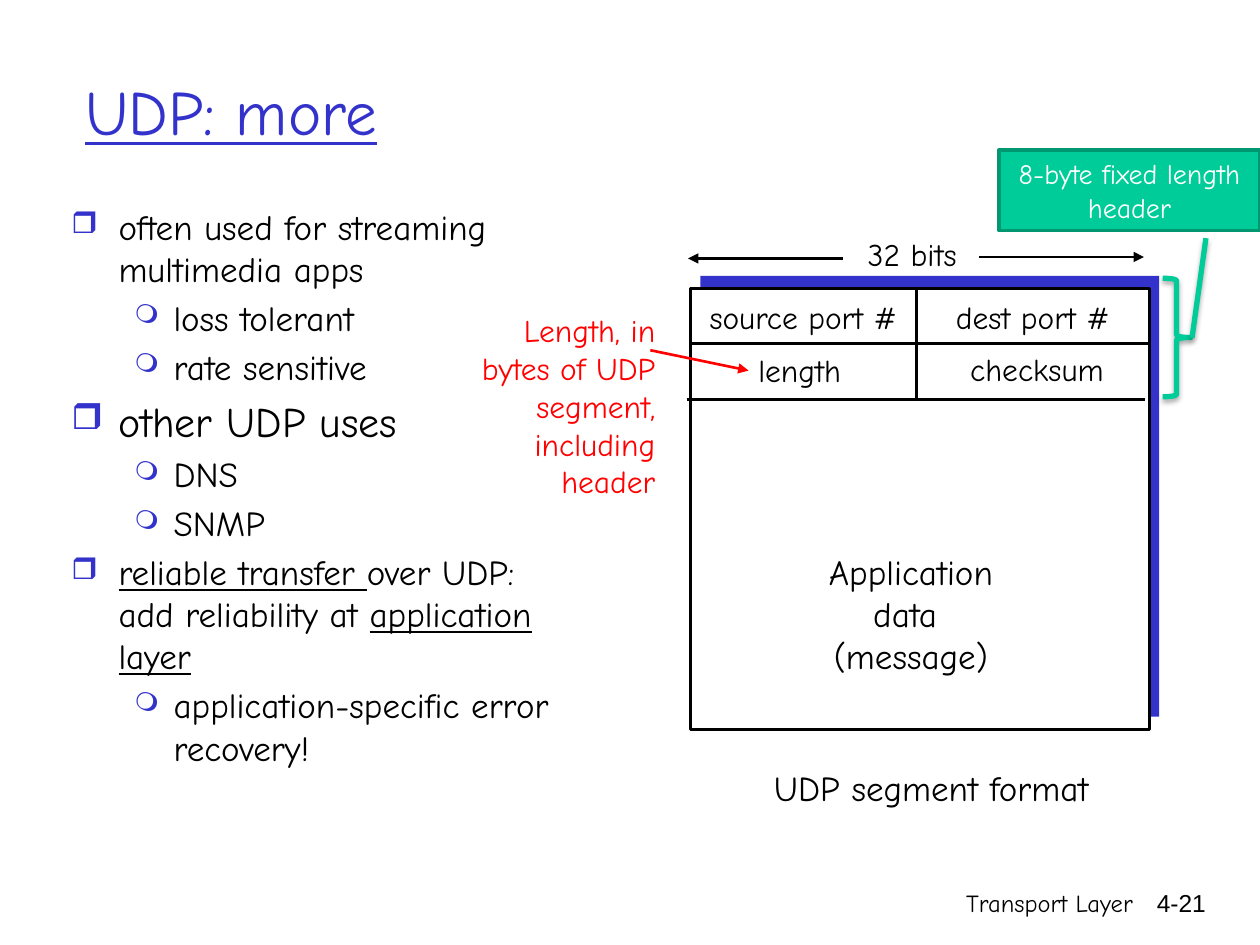
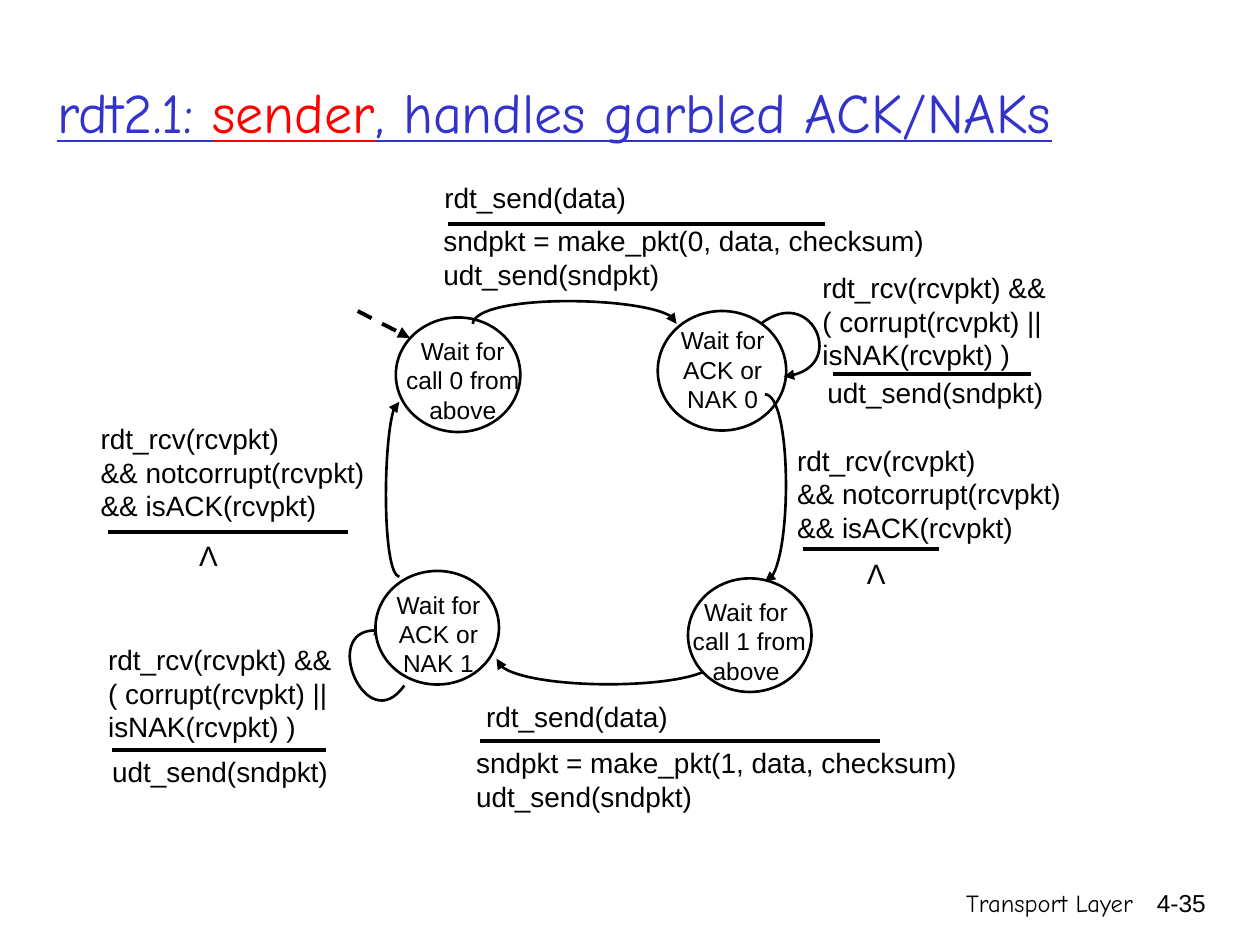
from dataclasses import dataclass

from lxml.etree import SubElement
from pptx import Presentation
from pptx.dml.color import RGBColor
from pptx.enum.dml import MSO_LINE
from pptx.enum.shapes import MSO_CONNECTOR, MSO_SHAPE
from pptx.enum.text import MSO_ANCHOR, PP_ALIGN
from pptx.oxml.ns import qn
from pptx.util import Cm, Pt

BLACK = RGBColor(0x00, 0x00, 0x00)
WHITE = RGBColor(0xFF, 0xFF, 0xFF)
BLUE = RGBColor(0x33, 0x33, 0xCC)
RED = RGBColor(0xFF, 0x00, 0x00)
GREEN = RGBColor(0x00, 0xCC, 0x99)
DARK_GREEN = RGBColor(0x00, 0x97, 0x71)

COMIC = "Comic Neue"
ARIAL = "Arial"
LEFT, CENTER, RIGHT = PP_ALIGN.LEFT, PP_ALIGN.CENTER, PP_ALIGN.RIGHT


@dataclass(frozen=True)
class Box:
    """A frame in centimetres."""
    left: float
    top: float
    width: float
    height: float

    def lengths(self) -> tuple:
        return Cm(self.left), Cm(self.top), Cm(self.width), Cm(self.height)


@dataclass(frozen=True)
class Run:
    text: str
    color: RGBColor = BLACK
    underline: bool = False


@dataclass(frozen=True)
class Label:
    box: Box
    lines: tuple[str, ...]
    size: int = 16
    font: str = ARIAL
    color: RGBColor = BLACK
    align: PP_ALIGN = LEFT
    wrap: bool = True


@dataclass(frozen=True)
class Rule:
    x1: float
    y1: float
    x2: float
    y2: float
    color: RGBColor = BLACK
    width: float = 1.5
    arrow: bool = False
    dashed: bool = False


@dataclass(frozen=True)
class BulletItem:
    level: int
    runs: tuple[Run, ...]
    size: int = 20


@dataclass(frozen=True)
class BulletStyle:
    symbol: str
    percent: int
    margin: float
    hanging: float


@dataclass(frozen=True)
class State:
    circle: Box
    label_box: Box
    lines: tuple[str, ...]


@dataclass(frozen=True)
class Transition:
    """An event above a rule, with the action below it."""
    event: Label
    rule: Rule
    action: Label


BULLET_STYLES = (BulletStyle("❒", 85, 0.95, 0.95), BulletStyle("❍", 75, 2.06, 0.79))


# ---- Drawing functions ----
def add_run(paragraph, run: Run, size: int, font: str) -> None:
    text_run = paragraph.add_run()
    text_run.text = run.text
    text_run.font.size = Pt(size)
    text_run.font.name = font
    text_run.font.color.rgb = run.color
    text_run.font.underline = run.underline


def add_text_frame(slide, box: Box, wrap: bool = True):
    frame = slide.shapes.add_textbox(*box.lengths()).text_frame
    frame.word_wrap = wrap
    return frame


def next_paragraph(frame, index: int):
    return frame.add_paragraph() if index else frame.paragraphs[0]


def draw_label(slide, label: Label) -> None:
    frame = add_text_frame(slide, label.box, label.wrap)
    for index, line in enumerate(label.lines):
        paragraph = next_paragraph(frame, index)
        paragraph.alignment = label.align
        add_run(paragraph, Run(line, label.color), label.size, label.font)


def draw_title(slide, box: Box, size: int, runs: tuple[Run, ...]) -> None:
    frame = add_text_frame(slide, box)
    frame.vertical_anchor = MSO_ANCHOR.MIDDLE
    for run in runs:
        add_run(frame.paragraphs[0], run, size, COMIC)


def draw_footer(slide, number: str) -> None:
    draw_label(slide, Label(Box(15.04, 17.78, 8.05, 1.27), ("Transport Layer",), 14, COMIC, align=RIGHT))
    draw_label(slide, Label(Box(22.68, 17.78, 1.88, 1.27), (number,), 14, align=RIGHT))


def draw_bullets(slide, box: Box, items: tuple[BulletItem, ...]) -> None:
    frame = add_text_frame(slide, box)
    for index, item in enumerate(items):
        paragraph = next_paragraph(frame, index)
        style = BULLET_STYLES[item.level]
        properties = paragraph._p.get_or_add_pPr()
        properties.set("marL", str(Cm(style.margin)))
        properties.set("indent", str(-Cm(style.hanging)))
        bullet_color = SubElement(properties, qn("a:buClr"))
        SubElement(bullet_color, qn("a:srgbClr"), val=str(BLUE))
        SubElement(properties, qn("a:buSzPct"), val=str(style.percent * 1000))
        SubElement(properties, qn("a:buChar"), char=style.symbol)
        paragraph.level = item.level
        if index:
            paragraph.space_before = Pt(item.size * 0.2)
        for run in item.runs:
            add_run(paragraph, run, item.size, COMIC)


def add_arrowhead(shape) -> None:
    line = shape.element.spPr.find(qn("a:ln"))
    SubElement(line, qn("a:tailEnd"), type="triangle")


def add_effects(shape, shadow: bool = False) -> None:
    """Replace the theme shadow by none, or by a soft one below."""
    properties = shape.element.spPr
    for effects in properties.findall(qn("a:effectLst")):
        properties.remove(effects)
    effects = SubElement(properties, qn("a:effectLst"))
    if shadow:
        outer = SubElement(effects, qn("a:outerShdw"), blurRad=str(Pt(3.1)),
                           dist=str(Pt(1.8)), dir="5400000", rotWithShape="0")
        color = SubElement(outer, qn("a:srgbClr"), val=str(BLACK))
        SubElement(color, qn("a:alpha"), val="35000")


def draw_rule(slide, rule: Rule, shadow: bool = False) -> None:
    connector = slide.shapes.add_connector(
        MSO_CONNECTOR.STRAIGHT, Cm(rule.x1), Cm(rule.y1), Cm(rule.x2), Cm(rule.y2))
    connector.line.color.rgb = rule.color
    connector.line.width = Pt(rule.width)
    if rule.dashed:
        connector.line.dash_style = MSO_LINE.DASH
    if rule.arrow:
        add_arrowhead(connector)
    add_effects(connector, shadow)


def draw_shape(slide, kind: MSO_SHAPE, box: Box, fill: RGBColor | None = None,
               line: RGBColor | None = None, width: float = 1.5, shadow: bool = False):
    shape = slide.shapes.add_shape(kind, *box.lengths())
    if fill is None:
        shape.fill.background()
    else:
        shape.fill.solid()
        shape.fill.fore_color.rgb = fill
    if line is None:
        shape.line.fill.background()
    else:
        shape.line.color.rgb = line
        shape.line.width = Pt(width)
    add_effects(shape, shadow)
    return shape


def draw_curve(slide, points: tuple[tuple[float, float], ...]) -> None:
    """Draw a cubic curve: start, two control points, end with an arrowhead."""
    start, *others = [(Cm(x), Cm(y)) for x, y in points]
    builder = slide.shapes.build_freeform(*start)
    builder.add_line_segments(others, close=False)
    curve = builder.convert_to_shape()
    # Turn the three segments into one Bezier segment
    segments = list(curve.element.iter(qn("a:lnTo")))
    bezier = SubElement(segments[0].getparent(), qn("a:cubicBezTo"))
    for segment in segments:
        bezier.append(segment[0])
        segment.getparent().remove(segment)
    curve.fill.background()
    curve.line.color.rgb = BLACK
    curve.line.width = Pt(1.5)
    add_arrowhead(curve)
    add_effects(curve)


def draw_state(slide, state: State) -> None:
    draw_shape(slide, MSO_SHAPE.OVAL, state.circle, WHITE, BLACK)
    draw_label(slide, Label(state.label_box, state.lines, 14, align=CENTER))


def field(left: float, top: float, width: float, height: float, *lines: str, size: int = 18) -> Label:
    return Label(Box(left, top, width, height), lines, size, COMIC, align=CENTER, wrap=False)


# ---- Slide 1: UDP segment ----
UDP_ITEMS = (
    BulletItem(0, (Run("often used for streaming multimedia apps"),)),
    BulletItem(1, (Run("loss tolerant"),)),
    BulletItem(1, (Run("rate sensitive"),)),
    BulletItem(0, (Run("other UDP uses"),), 24),
    BulletItem(1, (Run("DNS"),)),
    BulletItem(1, (Run("SNMP"),)),
    BulletItem(0, (Run("reliable transfer ", underline=True), Run("over UDP: add reliability at "),
                   Run("application layer", underline=True))),
    BulletItem(1, (Run("application-specific error recovery!"),)),
)
SEGMENT_LABELS = (
    field(13.87, 5.89, 4.65, 1.02, "source port #"),
    field(18.8, 5.89, 4.04, 1.02, "dest port #"),
    field(14.94, 6.96, 2.36, 1.02, "length"),
    field(19.23, 6.93, 3.35, 1.02, "checksum"),
    field(17.07, 4.62, 2.64, 1.02, "32 bits"),
    field(16.28, 10.97, 4.17, 2.79, "Application", "data ", "(message)", size=20),
    field(15.09, 15.32, 7.37, 1.09, "UDP segment format", size=20),
    Label(Box(8.99, 6.15, 4.47, 4.06),
          ("Length, in", "bytes of UDP", "segment,", "including", "header"),
          18, COMIC, RED, RIGHT, False),
)
SEGMENT_RULES = (
    Rule(13.89, 6.93, 23.14, 6.93),
    Rule(13.84, 8.05, 23.09, 8.05),
    Rule(18.47, 6.91, 18.47, 5.82),
    Rule(18.47, 8.05, 18.47, 6.96),
    Rule(19.74, 5.18, 23.06, 5.18, arrow=True),
    Rule(16.99, 5.21, 13.87, 5.21, arrow=True),
    Rule(13.11, 7.06, 15.09, 7.47, RED, arrow=True),
)


def build_udp_slide(slide) -> None:
    draw_footer(slide, "4-21")
    draw_title(slide, Box(1.47, 0.64, 23.16, 3.18), 36, (Run("UDP: more", BLUE, True),))
    draw_bullets(slide, Box(1.19, 4.01, 10.59, 12.9), UDP_ITEMS)
    # Segment with its offset backing
    draw_shape(slide, MSO_SHAPE.RECTANGLE, Box(14.12, 5.56, 9.25, 8.89), BLUE)
    draw_shape(slide, MSO_SHAPE.RECTANGLE, Box(13.92, 5.82, 9.25, 8.89), WHITE, BLACK)
    for label in SEGMENT_LABELS:
        draw_label(slide, label)
    for rule in SEGMENT_RULES:
        draw_rule(slide, rule)
    # Header callout
    draw_shape(slide, MSO_SHAPE.RIGHT_BRACE, Box(23.44, 5.61, 0.56, 2.39), None, GREEN, 3, True)
    callout = draw_shape(slide, MSO_SHAPE.RECTANGLE, Box(20.14, 3.02, 5.26, 1.63), GREEN, DARK_GREEN, 2)
    paragraph = callout.text_frame.paragraphs[0]
    paragraph.alignment = CENTER
    add_run(paragraph, Run("8-byte fixed length header", WHITE), 16, COMIC)
    draw_rule(slide, Rule(24.31, 4.8, 24.03, 6.81, GREEN, 3), True)


# ---- Slide 2: sender state machine ----
UPPER_STATES = (
    State(Box(7.98, 6.4, 2.51, 2.31), Box(7.82, 6.65, 3.02, 1.7), ("Wait for call 0 from above",)),
    State(Box(13.26, 6.27, 2.59, 2.41), Box(13.06, 6.43, 3.02, 1.8), ("Wait for ACK or NAK 0",)),
)
LOWER_STATES = (
    State(Box(13.87, 11.66, 2.49, 2.29), Box(13.49, 11.91, 3.1, 1.7), ("Wait for", " call 1 from above")),
    State(Box(7.57, 11.51, 2.49, 2.29), Box(7.39, 11.76, 2.9, 1.7), ("Wait for ACK or NAK 1",)),
)
CURVES = (
    ((8.15, 13.82), (7.39, 14.91), (6.35, 12.47), (7.75, 12.73)),
    ((9.53, 6.53), (9.6, 5.92), (13.64, 5.97), (13.64, 6.53)),
    ((15.34, 6.53), (16.33, 5.74), (17.15, 7.47), (15.8, 7.59)),
    ((8.05, 11.63), (7.7, 11.56), (7.72, 8.1), (8.05, 8.1)),
    ((14.45, 13.28), (14.45, 13.92), (10.08, 13.97), (10.01, 13.28)),
    ((15.42, 7.95), (15.95, 7.95), (15.98, 11.66), (15.42, 11.73)),
)
SEND = ("rdt_send(data)",)
RESEND = ("udt_send(sndpkt)",)
GARBLED = ("rdt_rcv(rcvpkt) &&", "( corrupt(rcvpkt) ||", "isNAK(rcvpkt) )")
ACKED = ("rdt_rcv(rcvpkt)", "&& notcorrupt(rcvpkt)", "&& isACK(rcvpkt)")


def make_packet(number: int) -> tuple[str, ...]:
    return (f"sndpkt = make_pkt({number}, data, checksum)", *RESEND)


def bar(left: float, right: float, y: float) -> Rule:
    return Rule(left, y, right, y, width=2.25)


def no_action(left: float, top: float) -> Label:
    return Label(Box(left, top, 0.89, 0.94), ("Λ",), align=CENTER, wrap=False)


TRANSITIONS = (
    Transition(Label(Box(8.71, 3.51, 5.87, 0.84), SEND), bar(9.04, 16.64, 4.52),
               Label(Box(8.69, 4.39, 10.26, 1.12), make_packet(0))),
    Transition(Label(Box(16.33, 5.33, 7.11, 1.57), GARBLED), bar(16.79, 20.78, 7.54),
               Label(Box(16.43, 7.44, 6.27, 1.12), RESEND)),
    Transition(Label(Box(15.82, 8.81, 8.33, 1.57), ACKED), bar(16.18, 18.92, 11.07),
               no_action(17.22, 11.1)),
    Transition(Label(Box(9.55, 13.97, 6.63, 0.79), SEND), bar(9.68, 17.73, 14.94),
               Label(Box(9.35, 14.91, 10.46, 1.12), make_packet(1))),
    Transition(Label(Box(1.93, 12.83, 5.59, 1.57), GARBLED), bar(2.26, 6.58, 15.11),
               Label(Box(2.01, 15.09, 5.05, 0.76), RESEND)),
    Transition(Label(Box(1.78, 8.38, 6.1, 1.57), ACKED), bar(2.18, 7.01, 10.72),
               no_action(3.76, 10.74)),
)


def build_sender_slide(slide) -> None:
    draw_footer(slide, "4-35")
    draw_title(slide, Box(0.91, 0.66, 22.99, 3.18), 32,
               (Run("rdt2.1: ", BLUE, True), Run("sender", RED, True),
                Run(", handles garbled ACK/NAKs", BLUE, True)))
    # States and the arrows between them
    for state in UPPER_STATES:
        draw_state(slide, state)
    draw_rule(slide, Rule(7.21, 6.27, 8.26, 6.81, width=2.25, arrow=True, dashed=True))
    for points in CURVES:
        draw_curve(slide, points)
    for state in LOWER_STATES:
        draw_state(slide, state)
    # Event and action of each arrow
    for transition in TRANSITIONS:
        draw_label(slide, transition.event)
        draw_rule(slide, transition.rule)
        draw_label(slide, transition.action)


def main() -> None:
    presentation = Presentation()
    presentation.slide_width, presentation.slide_height = Cm(25.4), Cm(19.05)
    blank_layout = presentation.slide_layouts[6]
    for build in (build_udp_slide, build_sender_slide):
        build(presentation.slides.add_slide(blank_layout))
    presentation.save("out.pptx")


if __name__ == "__main__":
    main()
